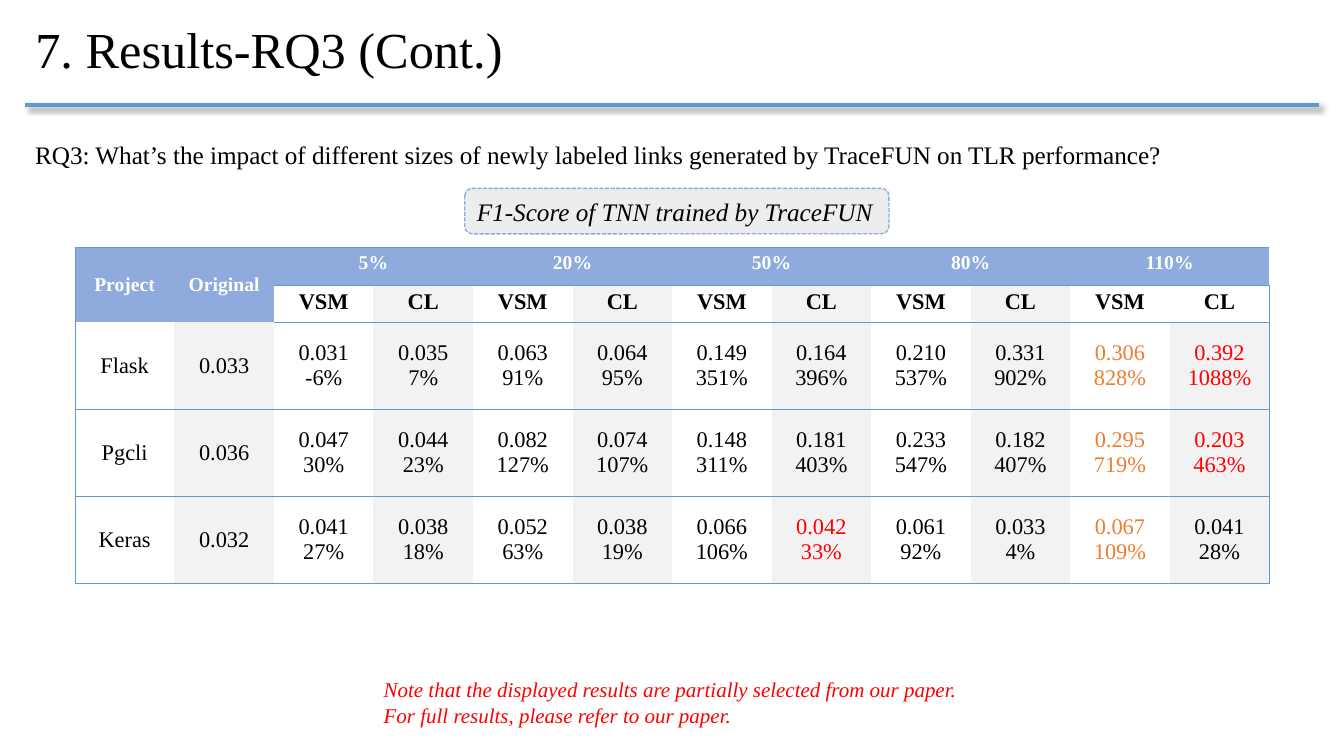
from lxml.etree import SubElement
from pptx import Presentation
from pptx.dml.color import RGBColor
from pptx.enum.dml import MSO_LINE
from pptx.enum.shapes import MSO_CONNECTOR, MSO_SHAPE
from pptx.enum.text import MSO_ANCHOR, MSO_AUTO_SIZE, PP_ALIGN
from pptx.oxml import parse_xml
from pptx.oxml.ns import nsdecls, qn
from pptx.util import Pt

BLACK = RGBColor(0x00, 0x00, 0x00)
WHITE = RGBColor(0xFF, 0xFF, 0xFF)
BLUE = RGBColor(0x5B, 0x9B, 0xD5)
HEAD = RGBColor(0x8F, 0xAA, 0xDC)
GREY = RGBColor(0xF2, 0xF2, 0xF2)
PALE = RGBColor(0xED, 0xED, 0xED)
RED = RGBColor(0xFF, 0x00, 0x00)
ORANGE = RGBColor(0xED, 0x7D, 0x31)

SHADOW = f"""<a:effectLst {nsdecls("a")}>
  <a:outerShdw blurRad="50800" dist="38100" dir="2700000" algn="tl" rotWithShape="0">
    <a:srgbClr val="000000"><a:alpha val="40000"/></a:srgbClr>
  </a:outerShdw>
</a:effectLst>"""

SHARES = ["5%", "20%", "50%", "80%", "110%"]
# Project, score before, then score and gain for VSM and CL at each share
RESULTS = [
    ("Flask", "0.033", "0.031 -6%", "0.035 7%", "0.063 91%", "0.064 95%",
     "0.149 351%", "0.164 396%", "0.210 537%", "0.331 902%",
     "0.306 828%", "0.392 1088%"),
    ("Pgcli", "0.036", "0.047 30%", "0.044 23%", "0.082 127%", "0.074 107%",
     "0.148 311%", "0.181 403%", "0.233 547%", "0.182 407%",
     "0.295 719%", "0.203 463%"),
    ("Keras", "0.032", "0.041 27%", "0.038 18%", "0.052 63%", "0.038 19%",
     "0.066 106%", "0.042 33%", "0.061 92%", "0.033 4%",
     "0.067 109%", "0.041 28%"),
]
BEST_VSM = 10
BEST_CL = {(2, 11), (3, 11), (4, 7)}
HEIGHTS = [27, 26.7, 62.1, 62.1, 62.1]
COLS, WIDTH = 12, 71.1


class Deck:
    def __init__(self, font):
        self.font = font
        self.prs = Presentation()
        self.prs.slide_width, self.prs.slide_height = Pt(960), Pt(540)
        self.slide = self.prs.slides.add_slide(self.prs.slide_layouts[5])

    def style(self, frame, text, size, color=BLACK, bold=False, italic=False,
              align=PP_ALIGN.LEFT):
        frame.text = text
        for par in frame.paragraphs:
            par.alignment = align
            for run in par.runs:
                font = run.font
                font.name, font.size = self.font, Pt(size)
                font.bold, font.italic = bold, italic
                font.color.rgb = color

    def title(self, text, x, y, w, h):
        shape = self.slide.shapes.title
        shape.left, shape.top, shape.width, shape.height = map(Pt, (x, y, w, h))
        frame = shape.text_frame
        self.style(frame, text, 36)
        frame.auto_size = MSO_AUTO_SIZE.NONE
        frame.vertical_anchor = MSO_ANCHOR.MIDDLE
        frame.paragraphs[0].line_spacing = 0.9

    def rule(self, x1, x2, y):
        line = self.slide.shapes.add_connector(
            MSO_CONNECTOR.STRAIGHT, Pt(x1), Pt(y), Pt(x2), Pt(y))
        line.line.color.rgb, line.line.width = BLUE, Pt(3)
        line._element.spPr.append(parse_xml(SHADOW))

    def text(self, text, x, y, w, h, size, **looks):
        box = self.slide.shapes.add_textbox(*map(Pt, (x, y, w, h)))
        box.text_frame.word_wrap = True
        box.text_frame.auto_size = MSO_AUTO_SIZE.SHAPE_TO_FIT_TEXT
        self.style(box.text_frame, text, size, **looks)

    def badge(self, text, x, y, w, h):
        shape = self.slide.shapes.add_shape(
            MSO_SHAPE.ROUNDED_RECTANGLE, *map(Pt, (x, y, w, h)))
        shape.shadow.inherit = False
        shape.fill.solid()
        shape.fill.fore_color.rgb = PALE
        shape.line.color.rgb, shape.line.width = HEAD, Pt(1)
        shape.line.dash_style = MSO_LINE.SQUARE_DOT
        shape.text_frame.word_wrap = False
        shape.text_frame.vertical_anchor = MSO_ANCHOR.MIDDLE
        self.style(shape.text_frame, text, 18, italic=True)

    def grid(self, x, y, heights, cols, width):
        frame = self.slide.shapes.add_table(
            len(heights), cols, Pt(x), Pt(y), Pt(cols * width), Pt(sum(heights)))
        table = frame.table
        table.first_row = table.horz_banding = False
        for col in table.columns:
            col.width = Pt(width)
        for row, height in zip(table.rows, heights):
            row.height = Pt(height)
        return table

    def cell(self, cell, fill, sides):
        props = cell._tc.get_or_add_tcPr()
        for side in "LRTB":
            edge = SubElement(props, qn(f"a:ln{side}"), w=str(Pt(0.5)))
            if side in sides:
                paint = SubElement(edge, qn("a:solidFill"))
                SubElement(paint, qn("a:srgbClr"), val=str(BLUE))
            else:
                SubElement(edge, qn("a:noFill"))
        cell.fill.solid()
        cell.fill.fore_color.rgb = fill

    def label(self, cell, text, size, middle=True, **looks):
        self.style(cell.text_frame, text, size, align=PP_ALIGN.CENTER, **looks)
        cell.vertical_anchor = MSO_ANCHOR.MIDDLE if middle else MSO_ANCHOR.TOP


def sides_of(row, col):
    sides = "L" * (col == 0) + "R" * (col == COLS - 1)
    if col > 1 or row not in (1, 2):
        sides += "T"
    if col > 1 or row > 1:
        sides += "B"
    return sides


def fill_of(row, col):
    if row == 0 or (row == 1 and col < 2):
        return HEAD
    return GREY if col % 2 and (row, col) != (1, COLS - 1) else WHITE


def color_of(row, col):
    if (row, col) in BEST_CL:
        return RED
    return ORANGE if col == BEST_VSM else BLACK


def main():
    deck = Deck("Times New Roman")

    # Heading and question
    deck.rule(18, 942, 75)
    deck.title("7. Results-RQ3 (Cont.)", 18, 0, 924, 75)
    deck.text("RQ3: What’s the impact of different sizes of newly labeled links "
              "generated by TraceFUN on TLR performance?", 18, 96, 883, 29, 18)

    # Table frame
    table = deck.grid(53.5, 176.5, HEIGHTS, COLS, WIDTH)
    for row in range(len(HEIGHTS)):
        for col in range(COLS):
            deck.cell(table.cell(row, col), fill_of(row, col), sides_of(row, col))

    # Table head
    for col, name in enumerate(["Project", "Original"]):
        table.cell(0, col).merge(table.cell(1, col))
        deck.label(table.cell(0, col), name, 14, color=WHITE, bold=True)
    for col, share in zip(range(2, COLS, 2), SHARES):
        table.cell(0, col).merge(table.cell(0, col + 1))
        deck.label(table.cell(0, col), share, 14, False, color=WHITE, bold=True)
        for step, name in enumerate(["VSM", "CL"]):
            deck.label(table.cell(1, col + step), name, 16, False, bold=True)

    # Table results
    for row, values in enumerate(RESULTS, 2):
        for col, value in enumerate(values):
            deck.label(table.cell(row, col), value.replace(" ", "\n"), 16,
                       color=color_of(row, col))

    # Caption and note
    deck.badge("F1-Score of TNN trained by TraceFUN", 332, 134.5, 303, 32.5)
    deck.text("Note that the displayed results are partially selected from our paper.\n"
              "For full results, please refer to our paper.",
              267, 480, 426, 44, 15, color=RED, italic=True)

    deck.prs.save("out.pptx")


if __name__ == "__main__":
    main()
